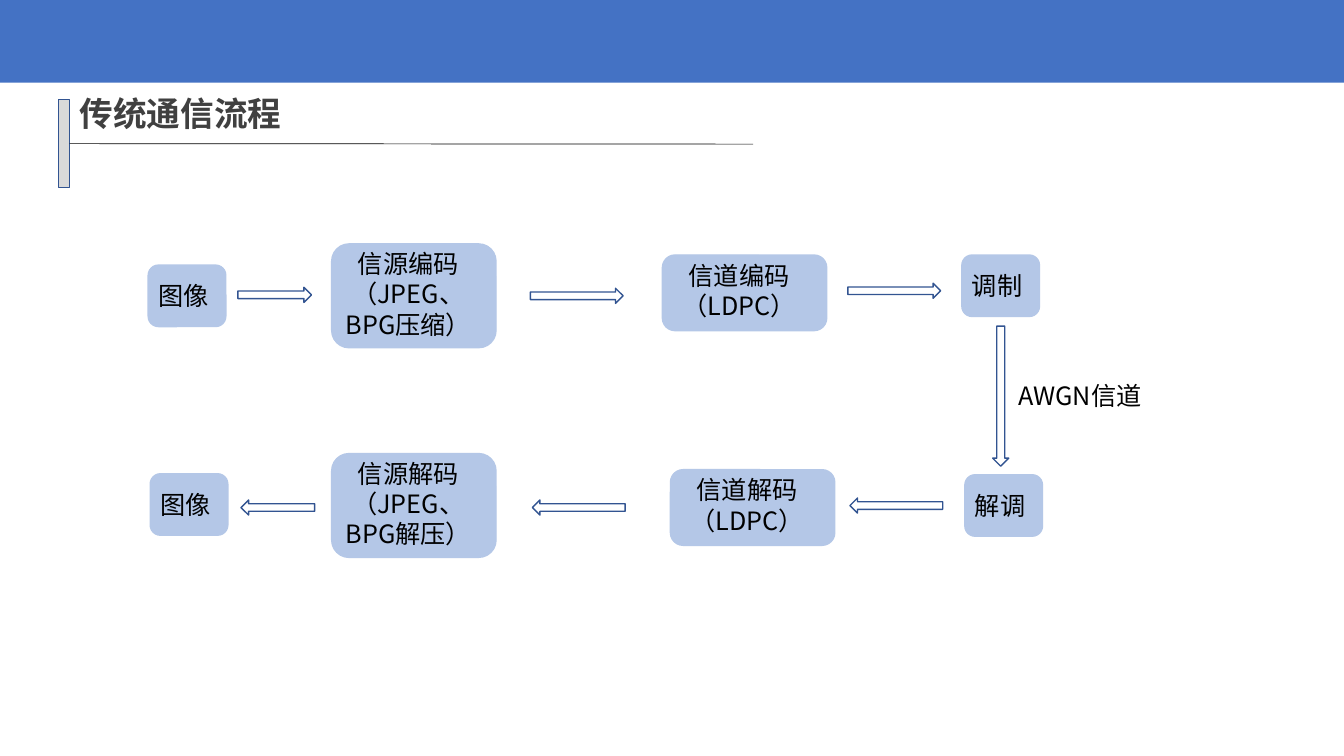
from dataclasses import dataclass

from lxml import etree
from pptx import Presentation
from pptx.dml.color import RGBColor
from pptx.enum.lang import MSO_LANGUAGE_ID
from pptx.enum.shapes import MSO_CONNECTOR, MSO_SHAPE
from pptx.enum.text import MSO_ANCHOR, MSO_AUTO_SIZE, PP_ALIGN
from pptx.oxml.ns import qn
from pptx.util import Inches, Pt

RECT, ROUND, ARROW = MSO_SHAPE.RECTANGLE, MSO_SHAPE.ROUNDED_RECTANGLE, MSO_SHAPE.RIGHT_ARROW
STRAIGHT = MSO_CONNECTOR.STRAIGHT
TOP, MIDDLE = MSO_ANCHOR.TOP, MSO_ANCHOR.MIDDLE
LEFT, CENTER = PP_ALIGN.LEFT, PP_ALIGN.CENTER
FIXED = MSO_AUTO_SIZE.NONE
CHINESE = MSO_LANGUAGE_ID.SIMPLIFIED_CHINESE

FACE = "Noto Sans CJK SC"
COLORS = {
    "band": "4472C4", "bar": "D9D9D9", "edge": "325491", "box": "B4C7E7",
    "white": "FFFFFF", "title": "404040", "text": "000000",
}
HEAD = {"size": Pt(24), "bold": True, "name": FACE, "language_id": CHINESE}
BODY = {"size": Pt(18), "bold": False, "name": FACE, "language_id": CHINESE}


@dataclass(frozen=True)
class Kind:
    """Size of a step box, its insets (left, top, right, bottom) and alignment."""
    width: float
    height: float
    pads: tuple
    align: PP_ALIGN


SMALL = Kind(0.77, 0.61, (0.07, 0.05, 0.08, 0.05), LEFT)
MEDIUM = Kind(1.63, 0.75, (0.01, 0.01, 0.12, 0.06), CENTER)
LARGE = Kind(1.63, 1.03, (0, 0, 0.11, 0.04), CENTER)


@dataclass(frozen=True)
class Step:
    text: str
    left: float
    top: float
    kind: Kind


@dataclass(frozen=True)
class Arrow:
    left: float
    top: float
    width: float
    turn: int = 0
    height: float = 0.15


STEPS = [
    # Sender
    Step("图像", 1.47, 2.63, SMALL),
    Step("信源编码（JPEG、BPG压缩）", 3.29, 2.42, LARGE),
    Step("信道编码（LDPC）", 6.57, 2.53, MEDIUM),
    Step("调制", 9.54, 2.53, SMALL),
    # Receiver
    Step("解调", 9.57, 4.71, SMALL),
    Step("信道解码（LDPC）", 6.65, 4.66, MEDIUM),
    Step("信源解码（JPEG、BPG解压）", 3.29, 4.5, LARGE),
    Step("图像", 1.49, 4.7, SMALL),
]
ARROWS = [
    Arrow(2.36, 2.85, 0.73), Arrow(5.26, 2.86, 0.92), Arrow(8.41, 2.81, 0.92),
    Arrow(9.23, 3.85, 1.39, 90, 0.16),
    Arrow(8.43, 4.94, 0.92, 180), Arrow(5.28, 4.96, 0.92, 180), Arrow(2.39, 4.96, 0.73, 180),
]


def color(name: str) -> RGBColor:
    return RGBColor.from_string(COLORS[name])


def add_shape(slide, form, at: tuple, fill: str, edge: str):
    shape = slide.shapes.add_shape(form, *map(Inches, at))
    shape.shadow.inherit = False
    shape.fill.solid()
    shape.fill.fore_color.rgb = color(fill)
    shape.line.color.rgb = color(edge)
    shape.line.width = Pt(1)
    return shape


def write(shape, text: str, style: dict, ink: str = "text", align=LEFT,
          anchor=TOP, pads: tuple = (0.1, 0.05, 0.1, 0.05)) -> None:
    frame = shape.text_frame
    frame.auto_size = FIXED
    frame.word_wrap = True
    frame.vertical_anchor = anchor
    for side, pad in zip(("left", "top", "right", "bottom"), pads):
        setattr(frame, f"margin_{side}", Inches(pad))
    para = frame.paragraphs[0]
    para.alignment = align
    run = para.add_run()
    run.text = text
    for key, value in style.items():
        setattr(run.font, key, value)
    run.font.color.rgb = color(ink)
    # Chinese glyphs take their face from the East Asian font
    latin = run.font._element.find(qn("a:latin"))
    asian = etree.Element(qn("a:ea"), typeface=FACE)
    latin.addnext(asian)


def add_step(slide, step: Step) -> None:
    kind = step.kind
    at = (step.left, step.top, kind.width, kind.height)
    box = add_shape(slide, ROUND, at, "box", "box")
    write(box, step.text, BODY, align=kind.align, anchor=MIDDLE, pads=kind.pads)


def add_arrow(slide, arrow: Arrow) -> None:
    at = (arrow.left, arrow.top, arrow.width, arrow.height)
    shape = add_shape(slide, ARROW, at, "white", "edge")
    shape.rotation = arrow.turn


def add_header(slide) -> None:
    band = add_shape(slide, RECT, (0, 0, 13.33, 0.82), "band", "band")
    band.line.fill.background()
    bar = add_shape(slide, RECT, (0.58, 0.99, 0.11, 0.87), "bar", "edge")

    # Rule from the middle of the bar's right side
    rule = slide.shapes.add_connector(
        STRAIGHT, Inches(0.69), Inches(1.42), Inches(7.47), Inches(1.43))
    rule.begin_connect(bar, 3)
    rule.line.color.rgb = color("text")
    rule.line.width = Pt(0.5)
    etree.SubElement(rule._element.spPr, qn("a:effectLst"))

    # Title on one line, with no right inset
    title = slide.shapes.title
    title.left, title.top, title.width, title.height = map(Inches, (0.69, 0.87, 2.2, 0.5))
    write(title, "传统通信流程", HEAD, ink="title", pads=(0.1, 0.05, 0, 0.05))


def main() -> None:
    deck = Presentation()
    deck.slide_width, deck.slide_height = Inches(13.33), Inches(7.5)
    slide = deck.slides.add_slide(deck.slide_layouts[5])

    add_header(slide)
    for step in STEPS:
        add_step(slide, step)
    for arrow in ARROWS:
        add_arrow(slide, arrow)

    # Channel label beside the downward arrow
    label = slide.shapes.add_textbox(*map(Inches, (10, 3.72, 1.64, 0.4)))
    write(label, "AWGN信道", BODY)

    deck.save("out.pptx")


if __name__ == "__main__":
    main()
